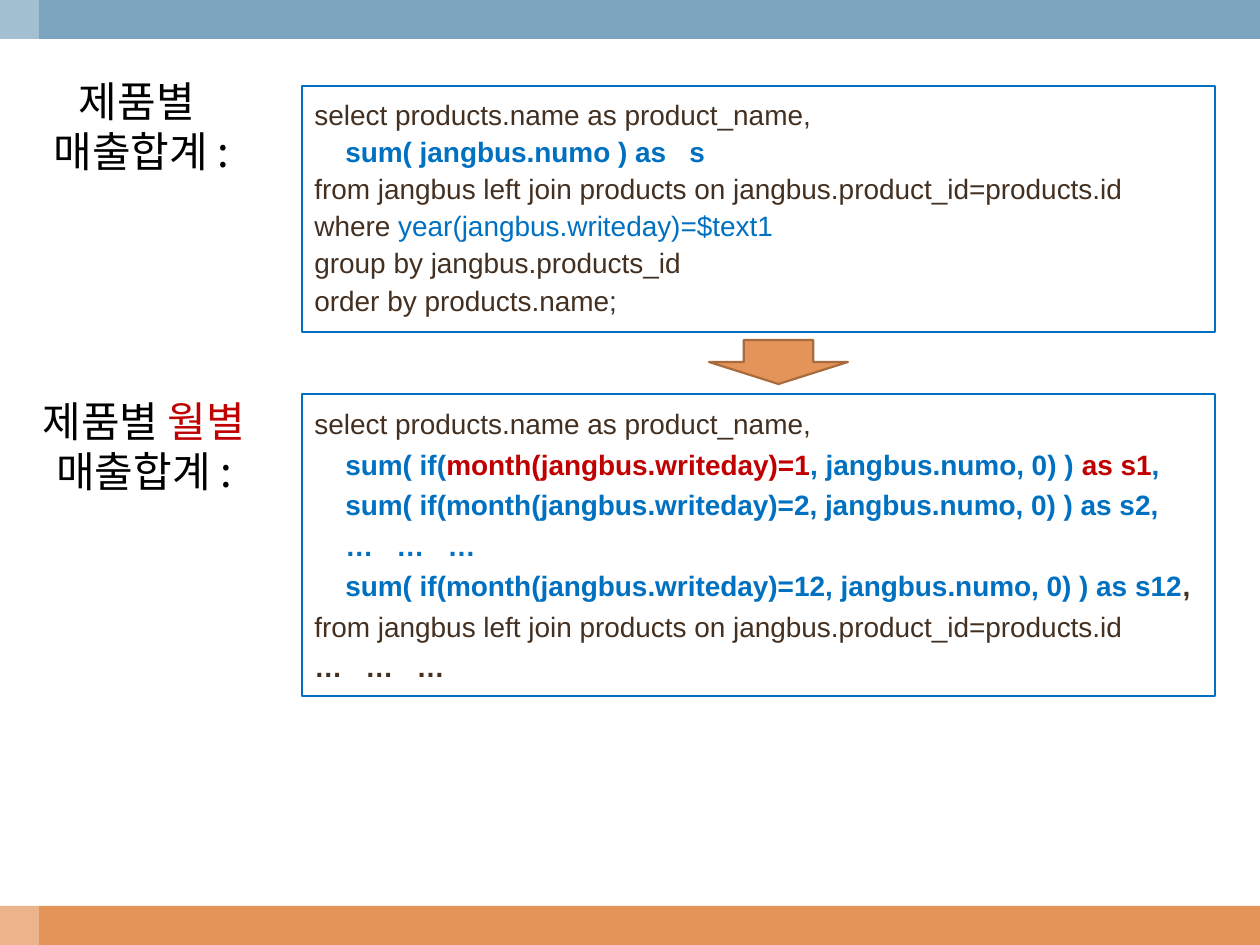
"""Builds the slide on turning a product sales query into a monthly one."""
from lxml import etree
from pptx import Presentation
from pptx import util as u
from pptx.dml.color import RGBColor
from pptx.enum import shapes, text
from pptx.oxml import ns

PX = u.Inches(1) / 126
WIDTH, HEIGHT = 1260, 945
BAND = 39

WHITE = RGBColor(0xFF, 0xFF, 0xFF)
BLACK = RGBColor(0x00, 0x00, 0x00)
STEEL = RGBColor(0x7B, 0xA5, 0xBE)
ORANGE = RGBColor(0xE4, 0x94, 0x58)
RUST = RGBColor(0xA7, 0x6B, 0x3E)
BLUE = RGBColor(0x00, 0x70, 0xC0)
RED = RGBColor(0xC0, 0x00, 0x00)
BROWN = RGBColor(0x43, 0x30, 0x21)

CODE = (BROWN, False)
CODE_BOLD = (BROWN, True)
CONDITION = (BLUE, False)
SUM = (BLUE, True)
MONTH = (RED, True)
TITLE = (BLACK, False)
TITLE_MONTH = (RED, False)

SELECT = [("select products.name as product_name,", CODE)]
JOIN = [("from jangbus left join products on jangbus.product_id=products.id", CODE)]
TOTAL = [("매출합계 :", TITLE)]

PRODUCT_QUERY = [
    SELECT,
    [("    sum( jangbus.numo ) as   s", SUM)],
    JOIN,
    [("where ", CODE), ("year(jangbus.writeday)=$text1", CONDITION)],
    [("group by jangbus.products_id", CODE)],
    [("order by products.name;", CODE)],
]
MONTHLY_QUERY = [
    SELECT,
    [("    sum( if(", SUM), ("month(jangbus.writeday)=1", MONTH),
     (", jangbus.numo, 0) ) ", SUM), ("as s1", MONTH), (",", SUM)],
    [("    sum( if(month(jangbus.writeday)=2, jangbus.numo, 0) ) as s2,", SUM)],
    [("    …   …   …", SUM)],
    [("    sum( if(month(jangbus.writeday)=12, jangbus.numo, 0) ) as s12", SUM),
     (",", CODE_BOLD)],
    JOIN,
    [("…   …   …", CODE_BOLD)],
]


def px(*lengths):
    """Turn px lengths into EMU."""
    return [round(length * PX) for length in lengths]


def add_block(slide, preset, area, fill, line=None, line_width=0):
    """Add a flat filled shape, outlined when a line colour is given."""
    block = slide.shapes.add_shape(preset, *px(*area))
    block.shadow.inherit = False
    block.fill.solid()
    block.fill.fore_color.rgb = fill
    if line is None:
        block.line.fill.background()
    else:
        block.line.color.rgb = line
        block.line.width = u.Pt(line_width)
    return block


def set_style(font, style):
    """Apply a colour and weight pair to a font."""
    font.color.rgb, font.bold = style


def write_lines(frame, lines, typeface, size, align, spacing=1.0, gap=0):
    """Write styled lines, one paragraph each."""
    for index, line in enumerate(lines):
        paragraph = frame.add_paragraph() if index else frame.paragraphs[0]
        paragraph.alignment = align
        paragraph.line_spacing = spacing
        paragraph.space_before = u.Pt(gap if index else 0)
        paragraph.font.name = typeface
        paragraph.font.size = u.Pt(size)
        base = line[0][1]
        set_style(paragraph.font, base)
        defaults = paragraph._p.pPr.find(ns.qn("a:defRPr"))
        etree.SubElement(defaults, ns.qn("a:ea"), typeface=typeface)
        for words, style in line:
            run = paragraph.add_run()
            run.text = words
            if style != base:
                set_style(run.font, style)


def add_query(slide, area, lines, spacing):
    """Add a framed box of SQL."""
    box = add_block(slide, shapes.MSO_SHAPE.RECTANGLE, area, WHITE, BLUE, 1.5)
    frame = box.text_frame
    frame.word_wrap = True
    frame.vertical_anchor = text.MSO_ANCHOR.MIDDLE
    write_lines(frame, lines, "Arial", 16, text.PP_ALIGN.LEFT, spacing, gap=4)


def add_label(slide, area, lines):
    """Add a centred label beside a query."""
    frame = slide.shapes.add_textbox(*px(*area)).text_frame
    frame.word_wrap = True
    frame.auto_size = text.MSO_AUTO_SIZE.SHAPE_TO_FIT_TEXT
    write_lines(frame, lines, "Noto Sans CJK KR", 24, text.PP_ALIGN.CENTER)


def add_bands(slide):
    """Add the top and bottom bands and the pale strip on the left."""
    rectangle = shapes.MSO_SHAPE.RECTANGLE
    add_block(slide, rectangle, (0, HEIGHT - BAND, WIDTH, BAND), ORANGE)
    add_block(slide, rectangle, (0, 0, WIDTH, BAND), STEEL)
    strip = add_block(slide, rectangle, (0, 0, BAND, HEIGHT), WHITE)
    colour = strip._element.spPr.find(ns.qn("a:solidFill"))[0]
    etree.SubElement(colour, ns.qn("a:alpha"), val="30000")


def main():
    """Build and save the slide."""
    deck = Presentation()
    deck.slide_width, deck.slide_height = px(WIDTH, HEIGHT)
    slide = deck.slides.add_slide(deck.slide_layouts[6])
    add_bands(slide)
    add_query(slide, (302, 86, 913, 246), PRODUCT_QUERY, 0.9)
    add_query(slide, (302, 394, 913, 302), MONTHLY_QUERY, 1.0)
    add_block(slide, shapes.MSO_SHAPE.DOWN_ARROW, (709, 340, 139, 44), ORANGE, RUST, 1.25)
    add_label(slide, (3, 69, 277, 113), [[("제품별 ", TITLE)], TOTAL])
    add_label(slide, (5, 389, 278, 113),
              [[("제품별 ", TITLE), ("월별", TITLE_MONTH)], TOTAL])
    deck.save("out.pptx")


if __name__ == "__main__":
    main()
